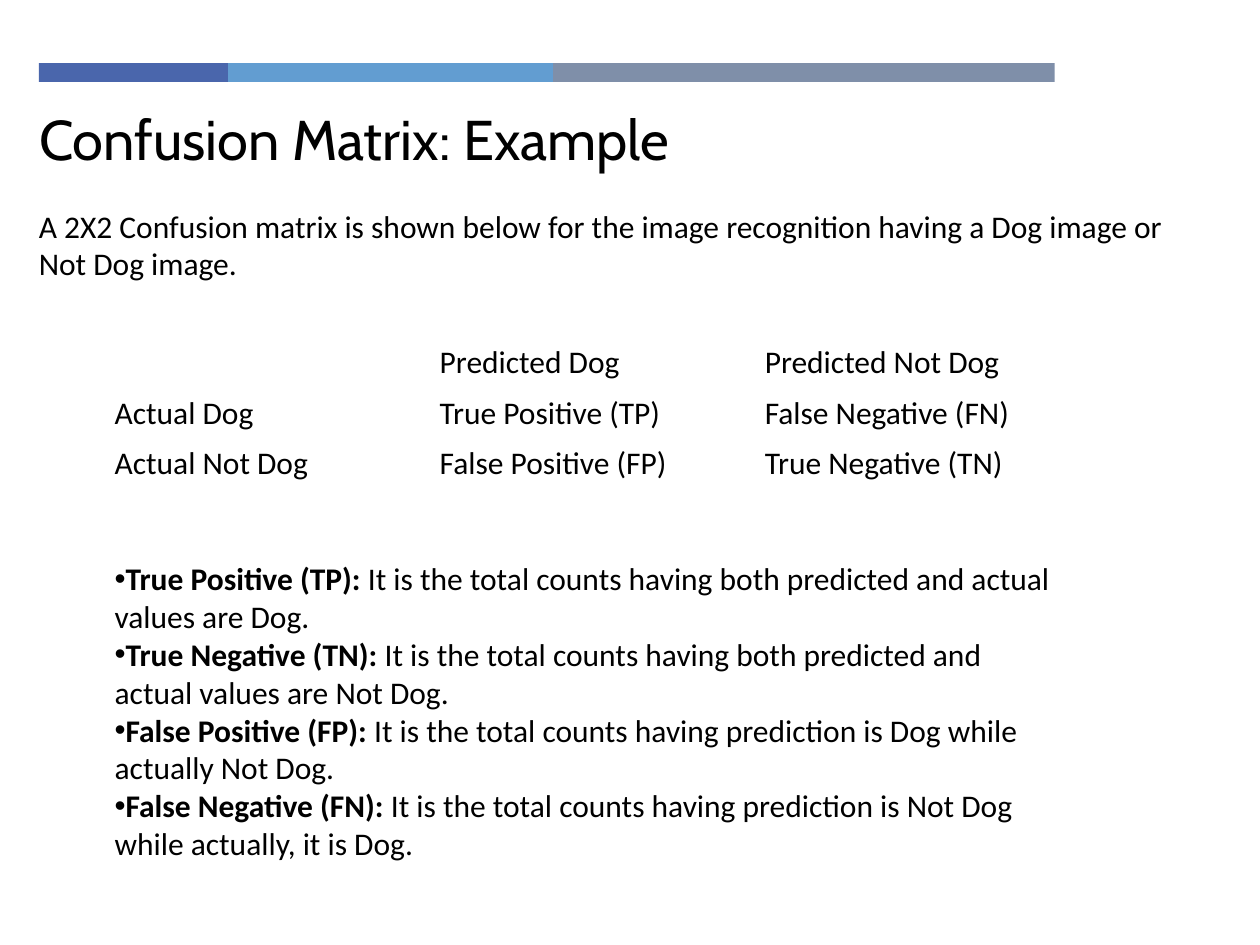
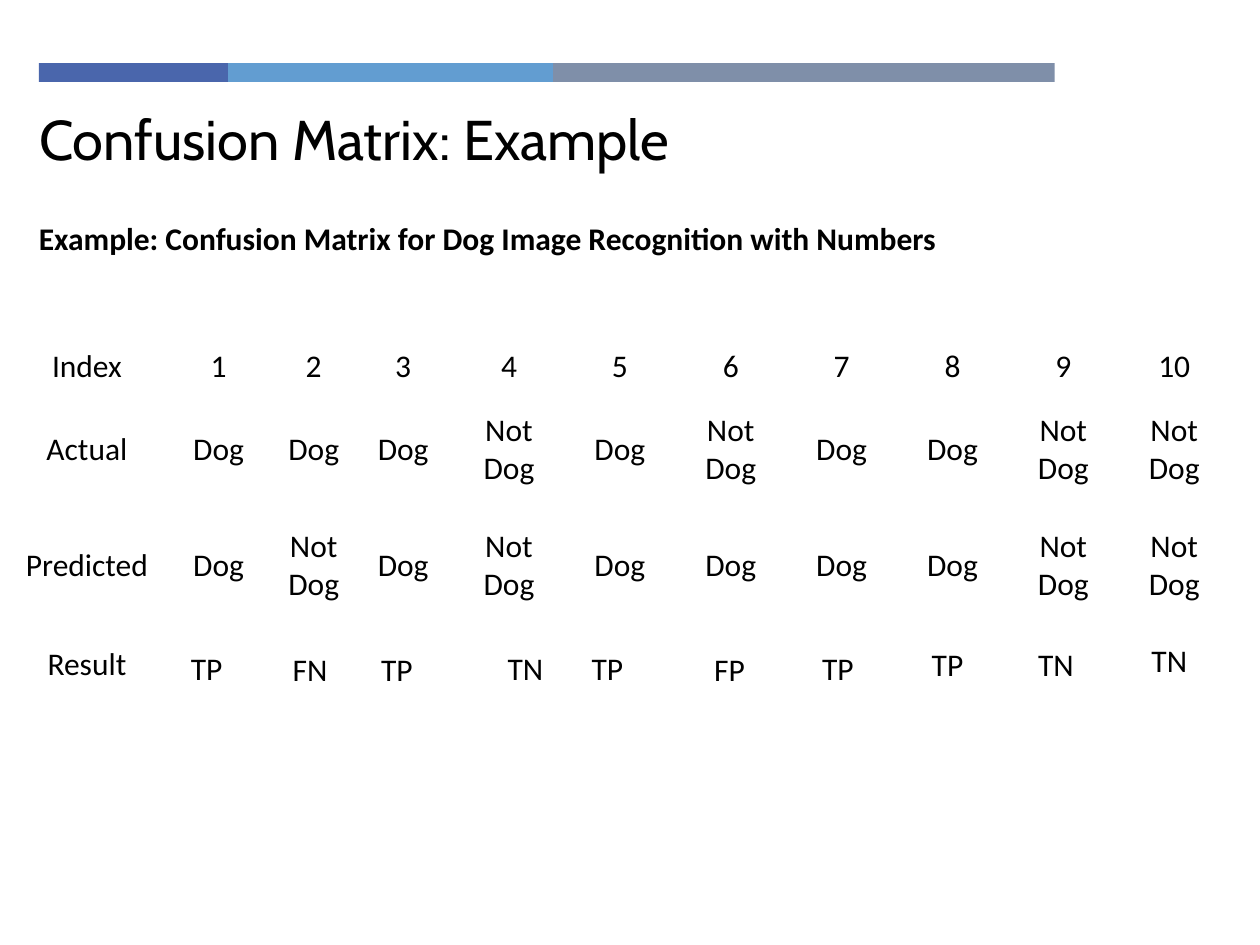
from lxml.etree import SubElement
from pptx import Presentation
from pptx.dml.color import RGBColor
from pptx.enum.shapes import MSO_SHAPE
from pptx.enum.text import MSO_ANCHOR, MSO_AUTO_SIZE, PP_ALIGN
from pptx.oxml.ns import qn
from pptx.util import Inches, Pt

TITLE_FORMAT = {"name": "Cabin", "size": Pt(32), "bold": False}
BODY_FORMAT = {"name": "Calibri", "size": Pt(18), "bold": False}
PLAIN_GRID = {"first_row": False, "horz_banding": False}


def color(hex_string):
    return RGBColor.from_string(hex_string)


def write(paragraph, text, text_format=BODY_FORMAT, align=PP_ALIGN.LEFT, bold=False):
    run = paragraph.add_run()
    run.text = text
    for attribute, value in {**text_format, "bold": bold}.items():
        setattr(run.font, attribute, value)
    run.font.color.rgb = color("000000")
    paragraph.alignment = align


prs = Presentation()
prs.slide_width, prs.slide_height = Inches(10), Inches(7.5)

master = prs.slide_master
master_title = master.placeholders[0]
master_title.left, master_title.top = Inches(0.21), Inches(0.69)
master_title.width, master_title.height = Inches(9.16), Inches(0.81)
master_title.text_frame.vertical_anchor = MSO_ANCHOR.MIDDLE

definitions_slide = prs.slides.add_slide(prs.slide_layouts[1])
numbers_slide = prs.slides.add_slide(prs.slide_layouts[5])

band_left = 0.31
for band_width, band_fill in [(1.5, "4A66AC"), (2.58, "629DD1"), (3.98, "7F8FA9")]:
    band = definitions_slide.shapes.add_shape(
        MSO_SHAPE.RECTANGLE, Inches(band_left), Inches(0.5), Inches(band_width), Inches(0.15))
    band.shadow.inherit = False
    band.fill.solid()
    band.fill.fore_color.rgb = color(band_fill)
    band.line.fill.background()
    master.shapes.element.append(band.element)
    band_left += band_width

intro = "A 2X2 Confusion matrix is shown below for the image recognition having a Dog image or Not Dog image."
heading = "Example: Confusion Matrix for Dog Image Recognition with Numbers"
for slide, lead, lead_top, lead_width, lead_height, lead_bold in [
    (definitions_slide, intro, 1.59, 9.42, 0.71, False),
    (numbers_slide, heading, 1.69, 9.26, 0.4, True),
]:
    write(slide.shapes.title.text_frame.paragraphs[0], "Confusion Matrix: Example", TITLE_FORMAT)
    lead_frame = slide.shapes.add_textbox(
        Inches(0.21), Inches(lead_top), Inches(lead_width), Inches(lead_height)).text_frame
    lead_frame.word_wrap = True
    write(lead_frame.paragraphs[0], lead, bold=lead_bold)

outcomes = [
    ["", "Predicted Dog", "Predicted Not Dog"],
    ["Actual Dog", "True Positive (TP)", "False Negative (FN)"],
    ["Actual Not Dog", "False Positive (FP)", "True Negative (TN)"],
]
D, N = "Dog", "Not Dog"
samples = [
    ["Index", *map(str, range(1, 11))],
    ["Actual", D, D, D, N, D, N, D, D, N, N],
    ["Predicted", D, N, D, N, D, D, D, D, N, N],
    ["Result", *[""] * 10],
]
for slide, rows, left, top, widths, heights, align in [
    (definitions_slide, outcomes, 0.81, 2.68, [2.58] * 3, [0.4] * 3, PP_ALIGN.LEFT),
    (numbers_slide, samples, 0.09, 2.71, [1.2, 0.89, 0.62, 0.8] + [0.88] * 7,
     [0.4, 0.92, 0.92, 0.65], PP_ALIGN.CENTER),
]:
    grid = slide.shapes.add_table(
        len(rows), len(widths), Inches(left), Inches(top),
        Inches(sum(widths)), Inches(sum(heights))).table
    for attribute, value in PLAIN_GRID.items():
        setattr(grid, attribute, value)
    for column, width in zip(grid.columns, widths):
        column.width = Inches(width)
    for row, height, labels in zip(grid.rows, heights, rows):
        row.height = Inches(height)
        for cell, label in zip(row.cells, labels):
            cell.fill.background()
            cell.vertical_anchor = MSO_ANCHOR.MIDDLE
            if label:
                write(cell.text_frame.paragraphs[0], label, align=align)

definitions = [
    ("True Positive (TP):", "both predicted and actual values are Dog."),
    ("True Negative (TN):", "both predicted and actual values are Not Dog."),
    ("False Positive (FP):", "prediction is Dog while actually Not Dog."),
    ("False Negative (FN):", "prediction is Not Dog while actually, it is Dog."),
]
glossary = definitions_slide.placeholders[1]
glossary.left, glossary.top = Inches(0.81), Inches(4.39)
glossary.width, glossary.height = Inches(7.74), Inches(2.52)
glossary.text_frame.auto_size = MSO_AUTO_SIZE.NONE
for index, (term, meaning) in enumerate(definitions):
    entry = glossary.text_frame.add_paragraph() if index else glossary.text_frame.paragraphs[0]
    entry.space_before = Pt(0)
    properties = entry._p.get_or_add_pPr()
    properties.set("marL", "0")
    properties.set("indent", "0")
    SubElement(properties, qn("a:buFont"), typeface="Arial")
    SubElement(properties, qn("a:buChar"), char="•")
    write(entry, term, bold=True)
    write(entry, f" It is the total counts having {meaning}")

results = [
    ("TP", 1.23, 5.1), ("FN", 2.05, 5.11), ("TP", 2.74, 5.11), ("TN", 3.76, 5.1),
    ("TP", 4.41, 5.1), ("FP", 5.38, 5.11), ("TP", 6.24, 5.1), ("TP", 7.11, 5.07),
    ("TN", 7.97, 5.07), ("TN", 8.87, 5.04),
]
for result, left, top in results:
    result_frame = numbers_slide.shapes.add_textbox(
        Inches(left), Inches(top), Inches(0.82), Inches(0.4)).text_frame
    result_frame.word_wrap = True
    write(result_frame.paragraphs[0], result, align=PP_ALIGN.CENTER)

prs.save("out.pptx")
